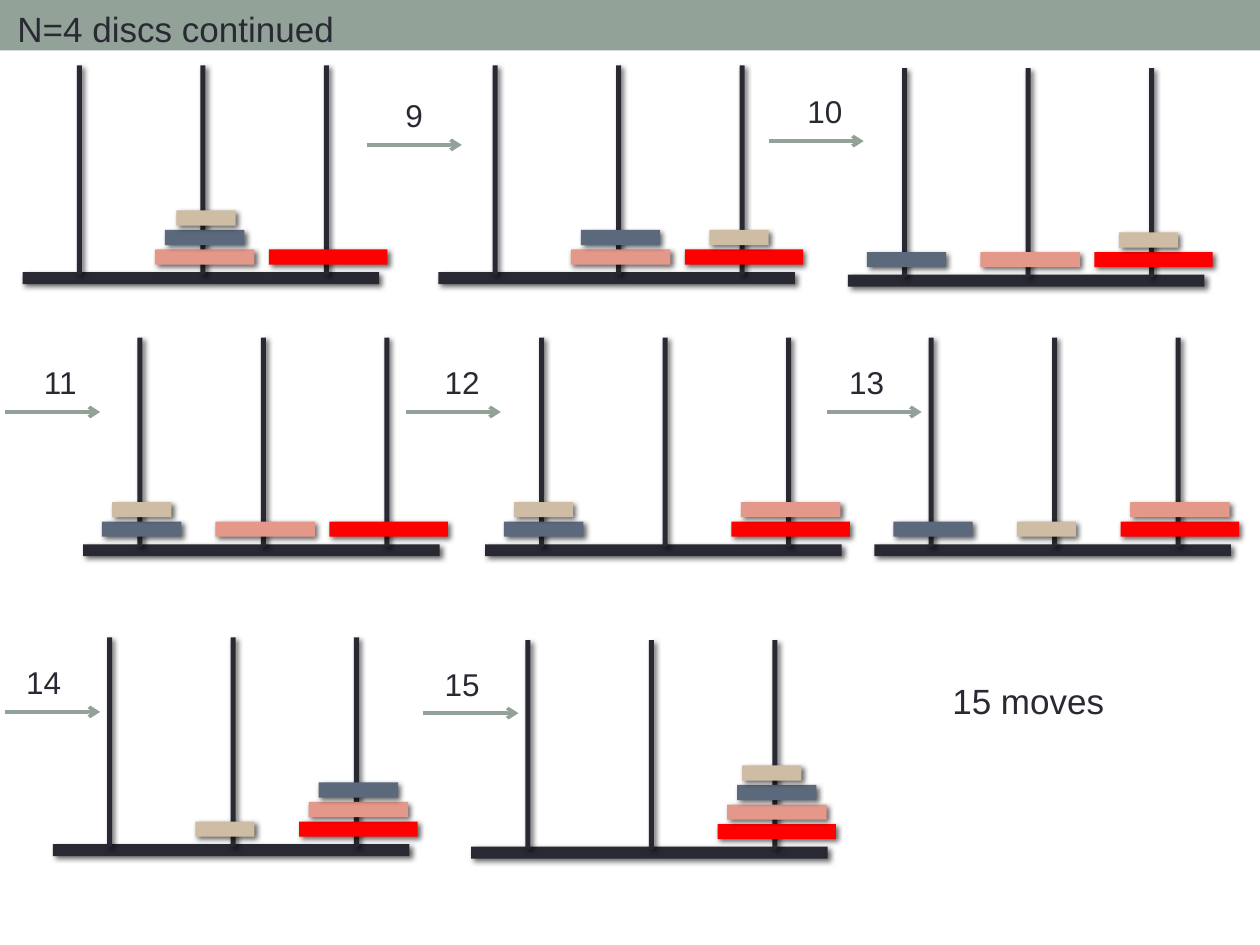
from lxml import etree
from pptx import Presentation, util as u
from pptx.dml.color import RGBColor
from pptx.enum import shapes, text
from pptx.oxml import ns

INK = RGBColor(0x29, 0x29, 0x34)
SAGE = RGBColor(0x93, 0xA2, 0x99)
RED = RGBColor(0xFF, 0x00, 0x00)
PINK = RGBColor(0xE4, 0x98, 0x8A)
BLUE = RGBColor(0x5C, 0x69, 0x7C)
TAN = RGBColor(0xCE, 0xBC, 0xA4)
BLACK = RGBColor(0x00, 0x00, 0x00)

# Grid of 100 columns by 75 rows; all lengths below are in its cells
WIDE, HIGH = u.Inches(10), u.Inches(7.5)
COL, ROW = WIDE / 100, HIGH / 75

PEGS = (4.5, 14.3, 24.1)         # peg centres, from the left of the base
DISC_DX = 0.15                   # discs sit a little right of the pegs
FLOOR, STEP = 14.6, 1.55         # top of the lowest disc, rise per disc
DISCS = {"r": (RED, 9.4), "p": (PINK, 7.9), "b": (BLUE, 6.3), "t": (TAN, 4.7)}

# Base left, peg top, stacks from the bottom up, nudge of the small disc,
# then move number, arrow left and top, label offset
STATES = [
    (1.8, 5.2, ("", "pbt", "r"), 0.1, None),
    (34.8, 5.2, ("", "pb", "rt"), -0.4, ("9", 29.1, 11.5, 2.1)),
    (67.3, 5.4, ("b", "p", "rt"), -0.4, ("10", 61, 11.2, 2.1)),
    (6.6, 26.8, ("bt", "p", "r"), 0, ("11", 0.4, 32.7, 2.1)),
    (38.5, 26.8, ("bt", "", "rp"), 0, ("12", 32.2, 32.7, 2.1)),
    (69.4, 26.8, ("b", "t", "rp"), -0.8, ("13", 65.6, 32.7, 0.8)),
    (4.2, 50.6, ("", "t", "rpb"), -0.8, ("14", 0.4, 56.5, 0.7)),
    (37.4, 50.8, ("", "", "rpbt"), -0.4, ("15", 33.6, 56.6, 0.7)),
]


def cells(x, y, w, h):
    return [u.Emu(round(n)) for n in (x * COL, y * ROW, w * COL, h * ROW)]


def node(up, tag, **attrs):
    return etree.SubElement(up, ns.qn(tag), attrs)


def bar(host, box, fill, shade=True):
    """Flat rectangle, with a soft shadow if asked."""
    rect = host.add_shape(shapes.MSO_SHAPE.RECTANGLE, *cells(*box))
    rect.fill.solid()
    rect.fill.fore_color.rgb = fill
    rect.line.fill.background()
    rect.shadow.inherit = False
    if shade:
        glow = node(rect._element.spPr.find(ns.qn("a:effectLst")), "a:outerShdw",
                    blurRad=str(u.Pt(3)), dist=str(u.Pt(2)), dir=str(45 * 60000),
                    algn="ctr", rotWithShape="0")
        tint = node(glow, "a:srgbClr", val=str(BLACK))
        node(tint, "a:alpha", val="60000")


def label(host, words, box, size=18, color=INK, face="Arial"):
    frame = host.add_textbox(*cells(*box)).text_frame
    frame.word_wrap = True
    frame.auto_size = text.MSO_AUTO_SIZE.SHAPE_TO_FIT_TEXT
    para = frame.paragraphs[0]
    para.text = words
    font = para.runs[0].font
    font.size, font.name, font.color.rgb = u.Pt(size), face, color


def move(host, num, x, y, shift):
    """Arrow with the number of the move above it."""
    left, top, run, _ = cells(x, y, 7.55, 0)
    line = host.add_connector(shapes.MSO_CONNECTOR.STRAIGHT,
                              left, top, left + run, top)
    line.line.color.rgb = SAGE
    line.line.width = u.Pt(2.08)
    node(line.line._get_or_add_ln(), "a:tailEnd", type="arrow")
    node(line._element.spPr, "a:effectLst")
    label(host, num, (x + shift, y - 4.35, 3 if len(num) == 1 else 5.4, 4))


def tower(host, x, y, stacks, nudge):
    """Base, three pegs and the discs on them."""
    bar(host, (x, y + 16.4, 28.3, 0.95), INK)
    for peg in PEGS:
        bar(host, (x + peg - 0.2, y, 0.4, 16.6), INK)
    for peg, stack in zip(PEGS, stacks):
        for level, key in enumerate(stack):
            fill, w = DISCS[key]
            mid = x + peg + DISC_DX + (nudge if key == "t" else 0)
            bar(host, (mid - w / 2, y + FLOOR - level * STEP, w, 1.2), fill)


def header(host, words):
    bar(host, (0, 0, 100, 4), SAGE, shade=False)
    label(host, words, (0.4, 0.1, 36.3, 4.4), size=20)


def main():
    deck = Presentation()
    deck.slide_width, deck.slide_height = WIDE, HIGH
    page = deck.slides.add_slide(deck.slide_layouts[6]).shapes

    header(page, "N=4 discs continued")

    # One group for each state and the move that leads to it
    for x, y, stacks, nudge, step in STATES:
        group = page.add_group_shape().shapes
        tower(group, x, y, stacks, nudge)
        if step:
            move(group, *step)

    # Total
    label(page, "15 moves", (74.6, 53.4, 14.8, 4.4), size=20)
    deck.save("out.pptx")


if __name__ == "__main__":
    main()
